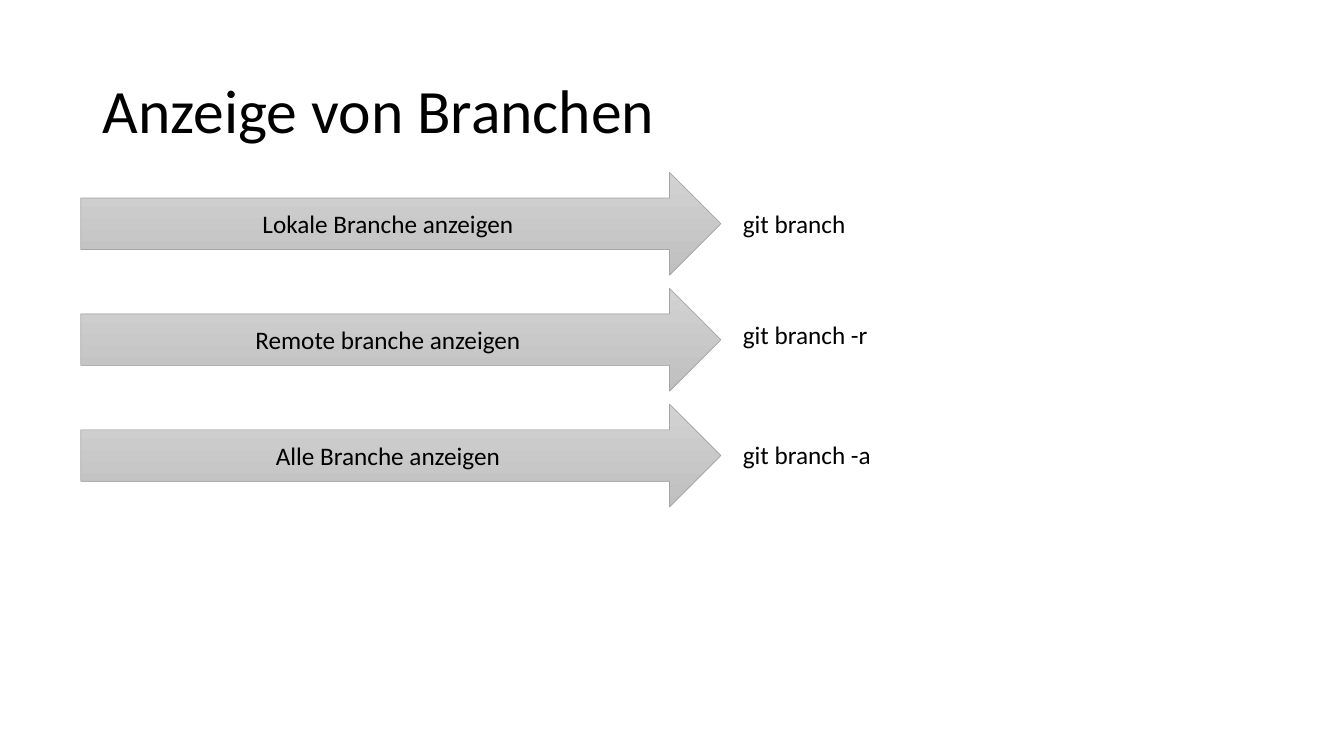
from pptx import Presentation
from pptx.dml.color import RGBColor
from pptx.enum import shapes, text
from pptx.util import Inches, Pt

COLORS = {"text": "000000", "arrow_top": "D2D2D2", "arrow_bottom": "C0C0C0", "outline": "A5A5A5"}


def add_text(shape, content, size):
    paragraph = shape.text_frame.paragraphs[0]
    run = paragraph.add_run()
    run.text = content
    run.font.name = "Calibri"
    run.font.size = Pt(size)
    run.font.color.rgb = RGBColor.from_string(COLORS["text"])
    return paragraph


presentation = Presentation()
presentation.slide_width = Inches(13.33)
presentation.slide_height = Inches(7.5)
slide = presentation.slides.add_slide(presentation.slide_layouts[6])

# Title
title = slide.shapes.add_textbox(Inches(0.92), Inches(0.4), Inches(11.5), Inches(1.45))
title.text_frame.word_wrap = True
title.text_frame.vertical_anchor = text.MSO_ANCHOR.MIDDLE
add_text(title, "Anzeige von Branchen", 44).line_spacing = 0.9

# Arrows with their commands: label, command, top of the command
rows = [
    ("Lokale Branche anzeigen", "git branch", 2.02),
    ("Remote branche anzeigen", "git branch -r", 3.12),
    ("Alle Branche anzeigen", "git branch -a", 4.31),
]
for index, (label, command, command_top) in enumerate(rows):
    arrow = slide.shapes.add_shape(
        shapes.MSO_SHAPE.RIGHT_ARROW,
        Inches(0.8), Inches(1.71 + 1.15 * index), Inches(6.35), Inches(1.02))
    arrow.shadow.inherit = False
    arrow.fill.gradient()
    arrow.fill.gradient_angle = 270
    for stop, color in zip(arrow.fill.gradient_stops, ("arrow_top", "arrow_bottom")):
        stop.color.rgb = RGBColor.from_string(COLORS[color])
    arrow.line.color.rgb = RGBColor.from_string(COLORS["outline"])
    arrow.line.width = Pt(0.5)
    arrow.text_frame.vertical_anchor = text.MSO_ANCHOR.MIDDLE
    add_text(arrow, label, 18).alignment = text.PP_ALIGN.CENTER

    command_box = slide.shapes.add_textbox(
        Inches(7.27), Inches(command_top), Inches(1.5), Inches(0.4))
    command_box.text_frame.word_wrap = True
    add_text(command_box, command, 18)

presentation.save("out.pptx")
